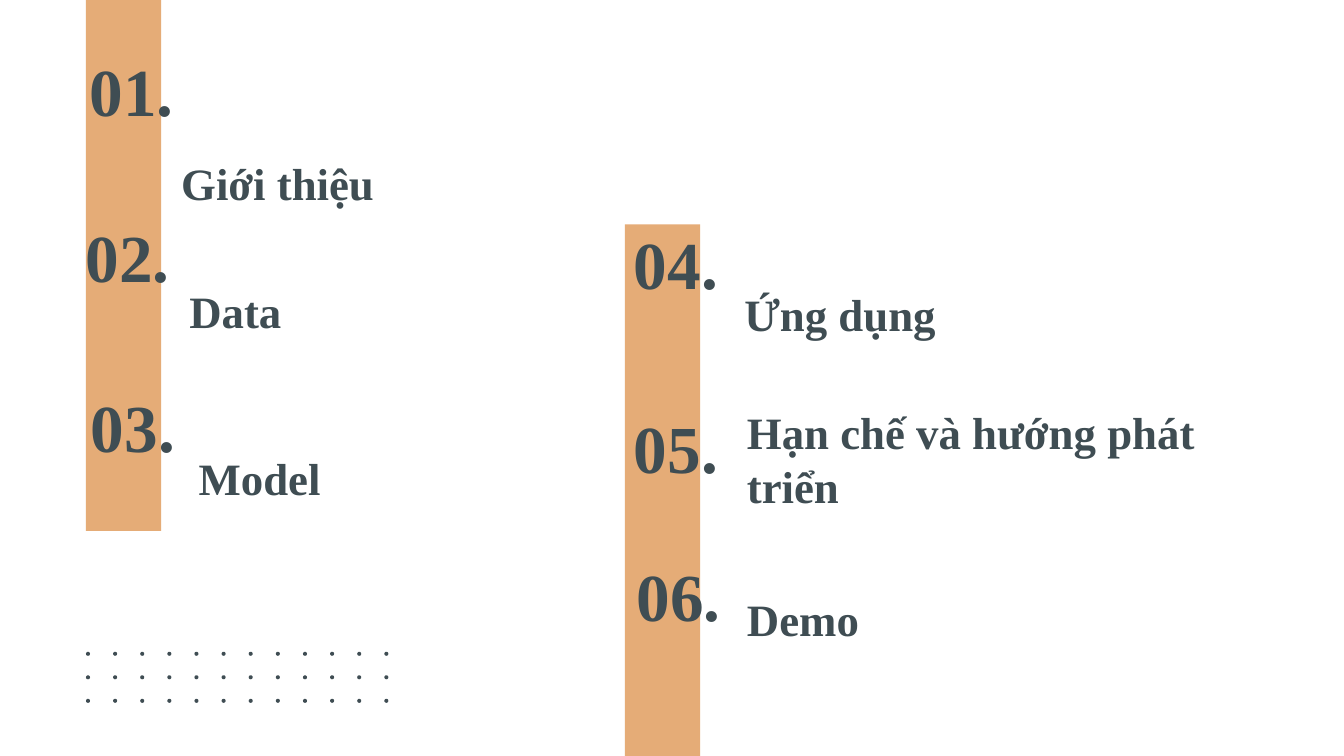
import pptx
import pptx.dml.color
import pptx.enum.shapes
import pptx.enum.text
import pptx.util

Inches = pptx.util.Inches
ANCHOR = pptx.enum.text.MSO_ANCHOR
ALIGN = pptx.enum.text.PP_ALIGN
SHAPE = pptx.enum.shapes.MSO_SHAPE

ORANGE = pptx.dml.color.RGBColor(0xE5, 0xAC, 0x77)
SLATE = pptx.dml.color.RGBColor(0x3F, 0x4D, 0x53)
FONT = "Times New Roman"

BAR_WIDTH = 0.56
NUMBER_SIZE = (1.44, 0.59)

# Each entry: number, its offset from the bar, title, its box from the bar
LEFT_ENTRIES = [
    ("01.", (-0.69, 0.37), "Giới thiệu", (0.61, 0.96, 2.78, 0.7)),
    ("02.", (-0.72, 1.61), "Data", (0.67, 2.16, 2.78, 0.45)),
    ("03.", (-0.68, 2.87), "Model", (0.74, 3.4, 3.07, 0.45)),
]
RIGHT_ENTRIES = [
    ("04.", (-0.65, -0.01), "Ứng dụng", (0.79, 0.51, 4.16, 0.45)),
    ("05.", (-0.65, 1.36), "Hạn chế và hướng phát triển", (0.81, 1.79, 4.16, 0.45)),
    ("06.", (-0.63, 2.46), "Demo", (0.81, 2.78, 4.54, 0.45)),
]


def add_filled_shape(slide, kind, left, top, width, height, color):
    shape = slide.shapes.add_shape(
        kind, Inches(left), Inches(top), Inches(width), Inches(height))
    shape.shadow.inherit = False
    shape.fill.solid()
    shape.fill.fore_color.rgb = color
    shape.line.fill.background()


def add_label(slide, text, left, top, width, height, size, anchor, alignment):
    box = slide.shapes.add_textbox(
        Inches(left), Inches(top), Inches(width), Inches(height))
    frame = box.text_frame
    frame.word_wrap = True
    frame.vertical_anchor = anchor
    frame.margin_left = frame.margin_right = Inches(0.1)
    frame.margin_top = frame.margin_bottom = Inches(0.1)
    frame.text = text
    paragraph = frame.paragraphs[0]
    paragraph.alignment = alignment
    font = paragraph.runs[0].font
    font.name = FONT
    font.size = pptx.util.Pt(size)
    font.bold = True
    font.color.rgb = SLATE


def add_contents_column(slide, left, top, height, entries):
    """Place a vertical bar with numbers on it and titles to its right."""
    add_filled_shape(slide, SHAPE.RECTANGLE, left, top, BAR_WIDTH, height, ORANGE)
    for number, (number_x, number_y), title, (x, y, width, title_height) in entries:
        add_label(slide, number, left + number_x, top + number_y, *NUMBER_SIZE,
                  36, ANCHOR.MIDDLE, ALIGN.RIGHT)
        add_label(slide, title, left + x, top + y, width, title_height,
                  24, ANCHOR.BOTTOM, ALIGN.LEFT)


def add_dot_grid(slide, left, top, width, height, columns=12, rows=3, dot=0.03):
    """Spread dots evenly over the given box."""
    column_step = (width - dot) / (columns - 1)
    row_step = (height - dot) / (rows - 1)
    for row in range(rows):
        for column in range(columns):
            add_filled_shape(slide, SHAPE.OVAL, left + column * column_step,
                             top + row * row_step, dot, dot, SLATE)


def main():
    presentation = pptx.Presentation()
    # Widescreen page, 16:9
    presentation.slide_width = Inches(10)
    presentation.slide_height = presentation.slide_width * 9 // 16
    slide = presentation.slides.add_slide(presentation.slide_layouts[6])

    # Contents
    add_contents_column(slide, 0.64, 0, 3.95, LEFT_ENTRIES)
    add_contents_column(slide, 4.65, 1.67, 4.06, RIGHT_ENTRIES)

    # Decoration
    add_dot_grid(slide, 0.64, 4.85, 2.25, 0.38)

    presentation.save("out.pptx")


if __name__ == "__main__":
    main()
